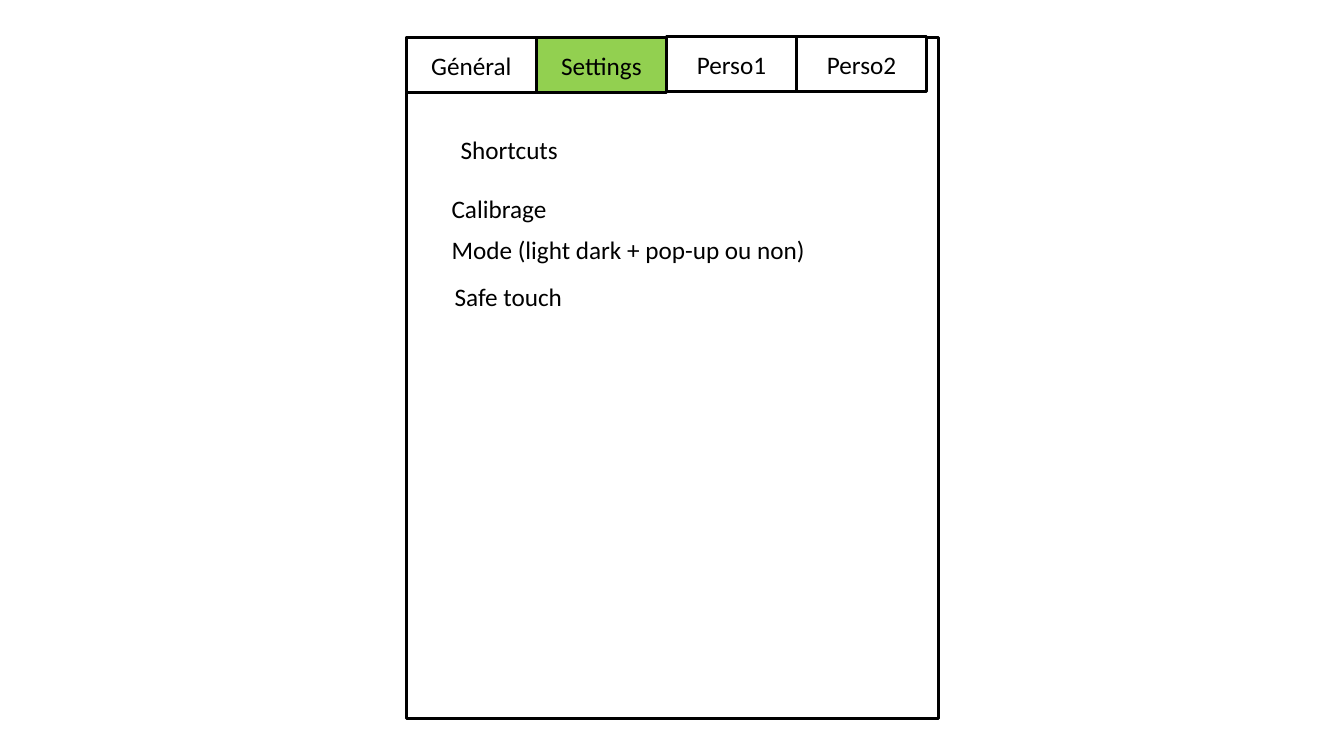
from pptx import Presentation
from pptx.dml.color import RGBColor
from pptx.enum.shapes import MSO_SHAPE
from pptx.enum.text import MSO_ANCHOR, MSO_AUTO_SIZE, PP_ALIGN
from pptx.util import Inches, Pt

RECT = MSO_SHAPE.RECTANGLE
MIDDLE = MSO_ANCHOR.MIDDLE
FIT_SHAPE = MSO_AUTO_SIZE.SHAPE_TO_FIT_TEXT
LEFT, CENTER = PP_ALIGN.LEFT, PP_ALIGN.CENTER

COLORS = {"ink": "000000", "tab": "FFFFFF", "active": "92D050"}
FONT, FONT_SIZE = "Calibri", 18
PANEL_LEFT, PANEL_TOP, PANEL_W, PANEL_H = 4.03, 0.37, 5.28, 6.76
TAB_W, TAB_H = 1.29, 0.55
LABEL_H = 0.4

TABS = [
    ("Général", 0, PANEL_TOP, "tab"),
    ("Perso1", 2, PANEL_TOP - 0.01, "tab"),
    ("Perso2", 3, PANEL_TOP - 0.01, "tab"),
    ("Settings", 1, PANEL_TOP, "active"),
]
SETTINGS = [
    ("Calibrage", 4.38, 1.87, 1.15),
    ("Mode (light dark + pop-up ou non)", 4.38, 2.28, 3.75),
    ("Shortcuts", 4.47, 1.28, 1.18),
    ("Safe touch", 4.41, 2.74, 1.28),
]


def color(name):
    """Return the named colour."""
    return RGBColor.from_string(COLORS[name])


def add_text(tf, text, align):
    """Write one formatted run in a text frame."""
    p = tf.paragraphs[0]
    p.alignment = align
    r = p.add_run()
    r.text = text
    r.font.name = FONT
    r.font.size = Pt(FONT_SIZE)
    r.font.color.rgb = color("ink")


def add_box(shapes, left, top, width, height, fill=None):
    """Add an outlined rectangle, filled when a colour is named."""
    sp = shapes.add_shape(RECT, *map(Inches, (left, top, width, height)))
    sp.shadow.inherit = False
    sp.line.color.rgb = color("ink")
    sp.line.width = Pt(2.25)
    if fill:
        sp.fill.solid()
        sp.fill.fore_color.rgb = color(fill)
    else:
        sp.fill.background()
    return sp


def add_tab(shapes, text, column, top, fill):
    """Add a tab in its column of the tab bar."""
    sp = add_box(shapes, PANEL_LEFT + column * TAB_W, top, TAB_W, TAB_H, fill)
    tf = sp.text_frame
    tf.vertical_anchor = MIDDLE
    add_text(tf, text, CENTER)


def add_label(shapes, text, left, top, width):
    """Add a one-line setting label."""
    sp = shapes.add_textbox(*map(Inches, (left, top, width, LABEL_H)))
    tf = sp.text_frame
    tf.word_wrap = False
    tf.auto_size = FIT_SHAPE
    add_text(tf, text, LEFT)


def main():
    """Build the settings window slide."""
    prs = Presentation()
    prs.slide_width, prs.slide_height = Inches(13.33), Inches(7.5)
    s = prs.slides.add_slide(prs.slide_layouts[6])
    window = s.shapes.add_group_shape()
    add_box(window.shapes, PANEL_LEFT, PANEL_TOP, PANEL_W, PANEL_H)
    for tab in TABS:
        add_tab(window.shapes, *tab)
    for setting in SETTINGS:
        add_label(s.shapes, *setting)
    prs.save("out.pptx")


main()
